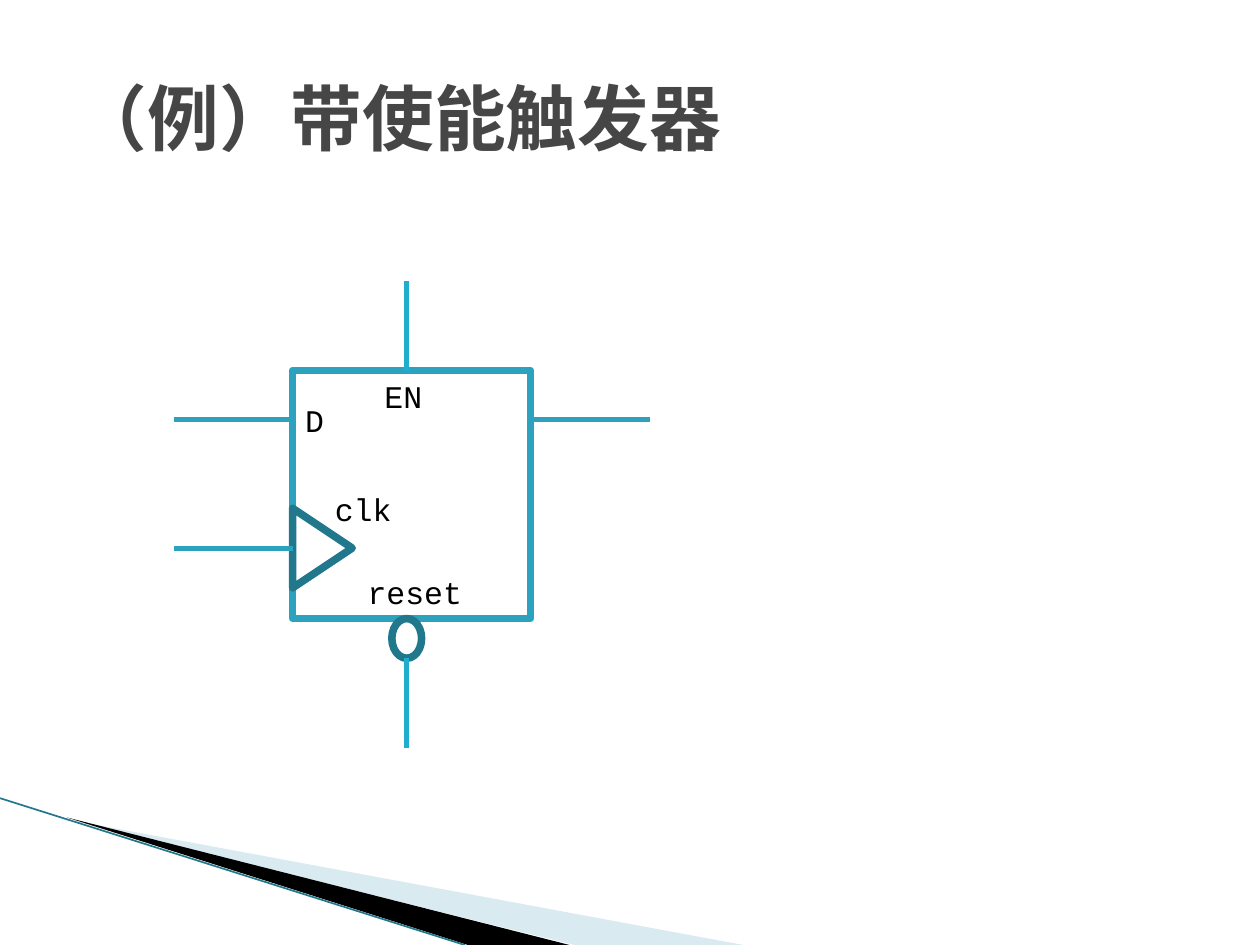
import pptx
import pptx.util
import pptx.dml.color
import pptx.enum.shapes
import pptx.enum.text
import pptx.oxml.ns
import lxml.etree

Cm, Pt = pptx.util.Cm, pptx.util.Pt
SHAPE = pptx.enum.shapes.MSO_SHAPE

THEME = {
    "font": "Courier New", "title_size": 41, "label_size": 18,
    "title": "464646", "label": "000000", "white": "FFFFFF",
    "body": "2DA2BF", "symbol": "21788D", "vertical": "1FAECD",
    "pale": "A0CBDC", "black": "000000",
    "outline": 4.33, "wire": 3, "hairline": 0.95,
}

# Content, lengths in cm
TITLE = "（例）带使能触发器"
LABELS = [  # text, left, top, width
    ("D", 5.9, 7.95, 2.0),
    ("EN", 7.5, 7.47, 2.0),
    ("clk", 6.5, 9.75, 2.0),
    ("reset", 7.16, 11.43, 3.12),
]
LABEL_HEIGHT = 1.02
WEDGES = [  # corners, colour, opacity in percent
    ([(1.4, 16.53), (14.98, 19.05), (11.58, 19.05)], "pale", 40),
    ([(1.35, 16.48), (11.48, 19.05), (9.43, 19.05)], "black", 100),
]
WEDGE_EDGE = (0, 16.09, 9.37, 19.05)

# Flip-flop geometry
LEFT, TOP, WIDTH, HEIGHT = 5.9, 7.47, 4.8, 5.0
RIGHT, BOTTOM = LEFT + WIDTH, TOP + HEIGHT
AXIS, DATA_Y, CLOCK_Y = 8.2, 8.46, 11.05
CLOCK_BASE, CLOCK_DEPTH = 1.6, 1.2
BUBBLE_WIDTH, BUBBLE_HEIGHT = 0.6, 0.8
SIDE_LEAD, VERTICAL_LEAD = 2.4, 1.8
BUBBLE_BOTTOM = BOTTOM + BUBBLE_HEIGHT


def color(key):
    return pptx.dml.color.RGBColor.from_string(THEME[key])


def style_text(text_frame, key):
    for paragraph in text_frame.paragraphs:
        for run in paragraph.runs:
            run.font.name = THEME["font"]
            run.font.size = Pt(THEME[key + "_size"])
            run.font.bold = key == "title"
            run.font.color.rgb = color(key)


def add_wedge(slide, corners, fill, opacity):
    points = [(Cm(x), Cm(y)) for x, y in corners]
    builder = slide.shapes.build_freeform(*points[0])
    builder.add_line_segments(points[1:], close=True)
    wedge = builder.convert_to_shape()
    wedge.shadow.inherit = False
    wedge.line.fill.background()
    wedge.fill.solid()
    wedge.fill.fore_color.rgb = color(fill)
    if opacity < 100:
        swatch = wedge.fill._xPr.find(".//" + pptx.oxml.ns.qn("a:srgbClr"))
        alpha = lxml.etree.SubElement(swatch, pptx.oxml.ns.qn("a:alpha"))
        alpha.set("val", str(opacity * 1000))


def add_wire(slide, ends, line, width="wire"):
    wire = slide.shapes.add_connector(
        pptx.enum.shapes.MSO_CONNECTOR.STRAIGHT, *(Cm(v) for v in ends))
    wire.line.color.rgb = color(line)
    wire.line.width = Pt(THEME[width])
    lxml.etree.SubElement(wire._element.spPr, pptx.oxml.ns.qn("a:effectLst"))


def add_outline(slide, preset, center, size, line, fill=None):
    (x, y), (width, height) = center, size
    part = slide.shapes.add_shape(
        preset, Cm(x - width / 2), Cm(y - height / 2), Cm(width), Cm(height))
    part.shadow.inherit = False
    part.line.color.rgb = color(line)
    part.line.width = Pt(THEME["outline"])
    if fill:
        part.fill.solid()
        part.fill.fore_color.rgb = color(fill)
    else:
        part.fill.background()
    return part


def add_label(slide, text, left, top, width):
    label = slide.shapes.add_textbox(
        Cm(left), Cm(top), Cm(width), Cm(LABEL_HEIGHT))
    label.text_frame.word_wrap = True
    label.text_frame.text = text
    style_text(label.text_frame, "label")


def main():
    deck = pptx.Presentation()
    deck.slide_width, deck.slide_height = Cm(25.4), Cm(19.05)
    slide = deck.slides.add_slide(deck.slide_layouts[5])

    # Corner decoration
    for corners, fill, opacity in WEDGES:
        add_wedge(slide, corners, fill, opacity)
    add_wire(slide, WEDGE_EDGE, "symbol", "hairline")

    # Title
    title = slide.shapes.title
    title.left, title.top = Cm(1.27), Cm(0.76)
    title.width, title.height = Cm(22.86), Cm(3.18)
    title.text_frame.text = TITLE
    title.text_frame.vertical_anchor = pptx.enum.text.MSO_ANCHOR.MIDDLE
    title.text_frame.paragraphs[0].alignment = pptx.enum.text.PP_ALIGN.LEFT
    style_text(title.text_frame, "title")

    # Body, clock triangle and reset bubble
    add_outline(slide, SHAPE.RECTANGLE, (LEFT + WIDTH / 2, TOP + HEIGHT / 2),
                (WIDTH, HEIGHT), "body", "white")
    clock = add_outline(slide, SHAPE.ISOSCELES_TRIANGLE,
                        (LEFT + CLOCK_DEPTH / 2, CLOCK_Y),
                        (CLOCK_BASE, CLOCK_DEPTH), "symbol")
    clock.rotation = 90
    add_outline(slide, SHAPE.OVAL, (AXIS, BOTTOM + BUBBLE_HEIGHT / 2),
                (BUBBLE_WIDTH, BUBBLE_HEIGHT), "symbol")

    # Wires: clock, data, output, reset, enable
    for start, y in [(LEFT - SIDE_LEAD, CLOCK_Y), (LEFT - SIDE_LEAD, DATA_Y),
                     (RIGHT, DATA_Y)]:
        add_wire(slide, (start, y, start + SIDE_LEAD, y), "body")
    for start in (BUBBLE_BOTTOM, TOP - VERTICAL_LEAD):
        add_wire(slide, (AXIS, start, AXIS, start + VERTICAL_LEAD), "vertical")

    # Pin names
    for label in LABELS:
        add_label(slide, *label)

    deck.save("out.pptx")


if __name__ == "__main__":
    main()
